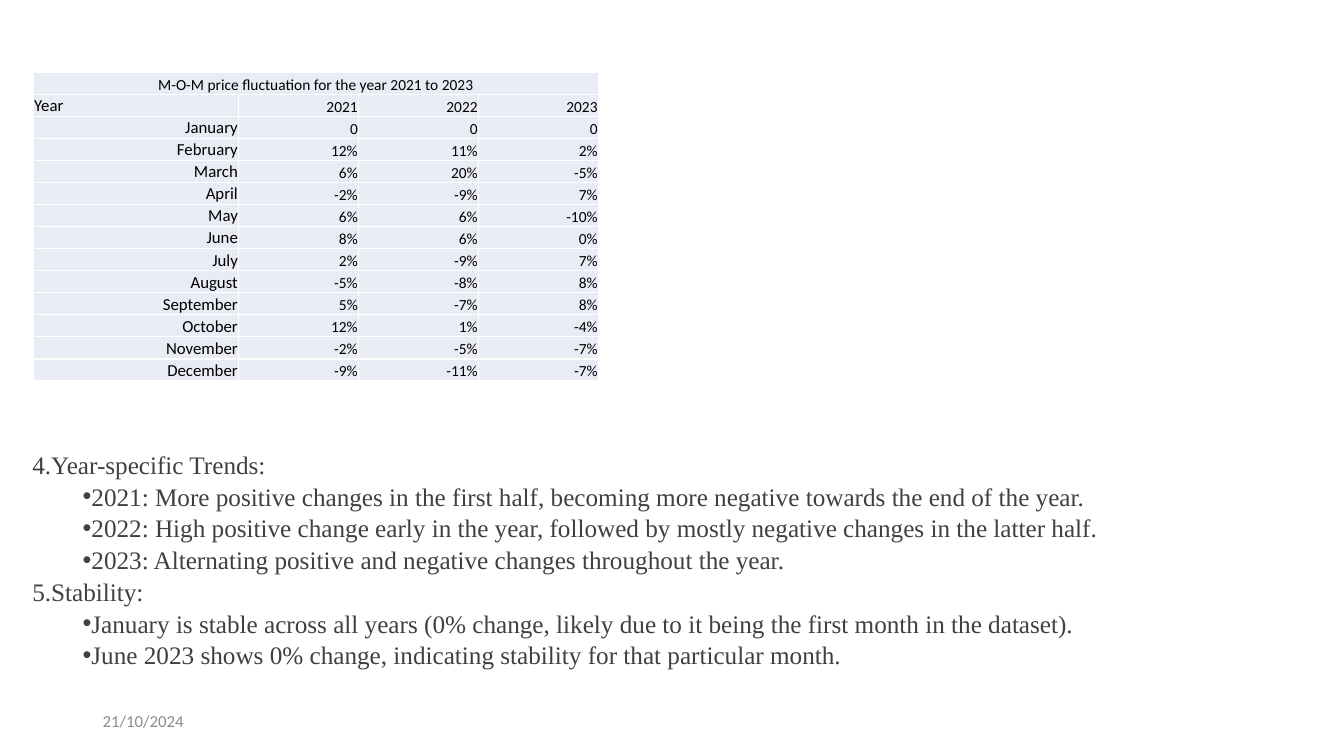
from pptx import Presentation
from pptx.dml.color import RGBColor
from pptx.enum import text as t
from pptx.oxml import parse_xml
from pptx.oxml.ns import nsdecls
from pptx.util import Pt

PRICE_CHANGES = [
    ("Year", "2021", "2022", "2023"),
    ("January", "0", "0", "0"),
    ("February", "12%", "11%", "2%"),
    ("March", "6%", "20%", "-5%"),
    ("April", "-2%", "-9%", "7%"),
    ("May", "6%", "6%", "-10%"),
    ("June", "8%", "6%", "0%"),
    ("July", "2%", "-9%", "7%"),
    ("August", "-5%", "-8%", "8%"),
    ("September", "5%", "-7%", "8%"),
    ("October", "12%", "1%", "-4%"),
    ("November", "-2%", "-5%", "-7%"),
    ("December", "-9%", "-11%", "-7%"),
]
FINDINGS = [
    ("4.Year-specific Trends:", [
        "2021: More positive changes in the first half, becoming more negative towards the end of the year.",
        "2022: High positive change early in the year, followed by mostly negative changes in the latter half.",
        "2023: Alternating positive and negative changes throughout the year.",
    ]),
    ("5.Stability:", [
        "January is stable across all years (0% change, likely due to it being the first month in the dataset).",
        "June 2023 shows 0% change, indicating stability for that particular month.",
    ]),
]


def color(value):
    return RGBColor.from_string(value)


def write(paragraph, content, size=11, font="Calibri", fill="000000", align="LEFT"):
    paragraph.alignment = getattr(t.PP_ALIGN, align)
    run = paragraph.add_run()
    run.text = content
    run.font.size = Pt(size)
    run.font.name = font
    run.font.color.rgb = color(fill)


def set_bullet(paragraph, bullet):
    properties = paragraph._p.get_or_add_pPr()
    properties.set("marL", str(Pt(36) if bullet else 0))
    properties.set("indent", "0")
    if bullet:
        properties.append(parse_xml(f'<a:buFont {nsdecls("a")} typeface="Arial"/>'))
        properties.append(parse_xml(f'<a:buChar {nsdecls("a")} char="{bullet}"/>'))
    else:
        properties.append(parse_xml(f'<a:buNone {nsdecls("a")}/>'))


def format_cell(cell, anchor):
    cell.margin_left = cell.margin_right = cell.margin_top = Pt(0.72)
    cell.margin_bottom = 0
    cell.vertical_anchor = anchor
    properties = cell._tc.get_or_add_tcPr()
    for side in ("lnL", "lnR", "lnT", "lnB"):
        properties.append(parse_xml(
            f'<a:{side} {nsdecls("a")} w="{Pt(1)}"><a:solidFill>'
            f'<a:srgbClr val="FFFFFF"/></a:solidFill></a:{side}>'))
    cell.fill.solid()
    cell.fill.fore_color.rgb = color("E9EBF5")


def add_price_table(slide):
    row_count = len(PRICE_CHANGES) + 1
    row_height = Pt(15.74)
    table = slide.shapes.add_table(row_count, 4, Pt(23.76), Pt(51.84),
                                   Pt(403.92), row_height * row_count).table
    table.first_row = table.horz_banding = False
    for column, width in zip(table.columns, (146.88, 85.68, 85.68, 85.68)):
        column.width = Pt(width)
    for row in table.rows:
        row.height = row_height

    # Heading across all columns
    for cell in table.rows[0].cells:
        format_cell(cell, t.MSO_ANCHOR.BOTTOM)
    table.cell(0, 0).merge(table.cell(0, 3))
    write(table.cell(0, 0).text_frame.paragraphs[0],
          "M-O-M price fluctuation for the year 2021 to 2023", align="CENTER")

    # Years and months
    for row, values in enumerate(PRICE_CHANGES, 1):
        for column, value in enumerate(values):
            cell = table.cell(row, column)
            is_label = column == 0
            format_cell(cell, t.MSO_ANCHOR.MIDDLE if is_label else t.MSO_ANCHOR.BOTTOM)
            write(cell.text_frame.paragraphs[0], value, size=12 if is_label else 11,
                  align="LEFT" if value == "Year" else "RIGHT")


def add_findings(body):
    body.left, body.top, body.width, body.height = Pt(15.84), Pt(298), Pt(928.8), Pt(202.4)
    frame = body.text_frame
    frame.auto_size = t.MSO_AUTO_SIZE.NONE
    frame.vertical_anchor = t.MSO_ANCHOR.MIDDLE
    lines = []
    for heading, points in FINDINGS:
        lines += [(heading, None)] + [(point, "•") for point in points]
    for index, (content, bullet) in enumerate(lines):
        paragraph = frame.add_paragraph() if index else frame.paragraphs[0]
        paragraph.level = 1 if bullet else 0
        paragraph.space_before = paragraph.space_after = Pt(0)
        paragraph.line_spacing = 1.05
        set_bullet(paragraph, bullet)
        write(paragraph, content, size=18, font="Times New Roman", fill="404040")


def add_date(slide):
    box = slide.shapes.add_textbox(Pt(66.24), Pt(500.4), Pt(216), Pt(28.8))
    frame = box.text_frame
    frame.word_wrap = True
    frame.vertical_anchor = t.MSO_ANCHOR.MIDDLE
    write(frame.paragraphs[0], "21/10/2024", size=12, fill="8C8C8C")


def main():
    presentation = Presentation()
    presentation.slide_width, presentation.slide_height = Pt(960), Pt(540)
    slide = presentation.slides.add_slide(presentation.slide_layouts[1])

    # The slide has no title
    title = slide.shapes.title._element
    title.getparent().remove(title)

    add_date(slide)
    add_findings(slide.placeholders[1])
    add_price_table(slide)
    presentation.save("out.pptx")


if __name__ == "__main__":
    main()
